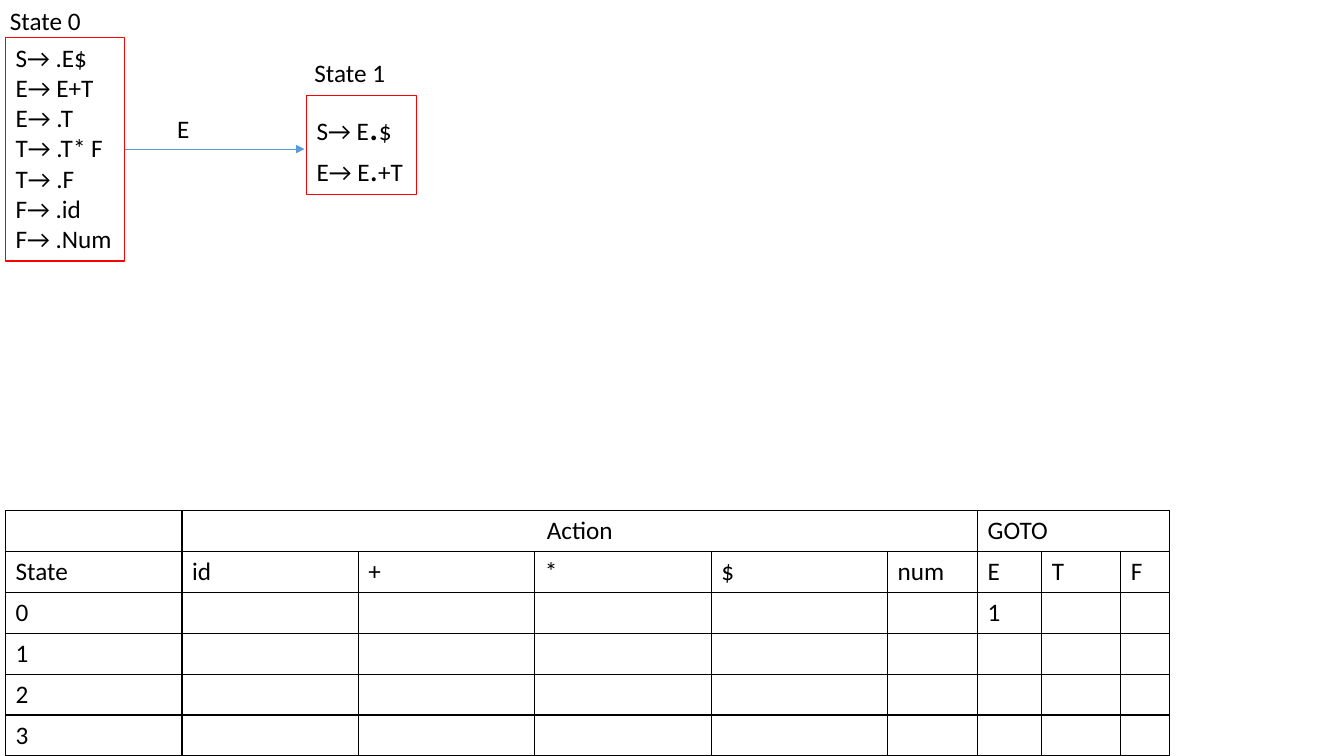
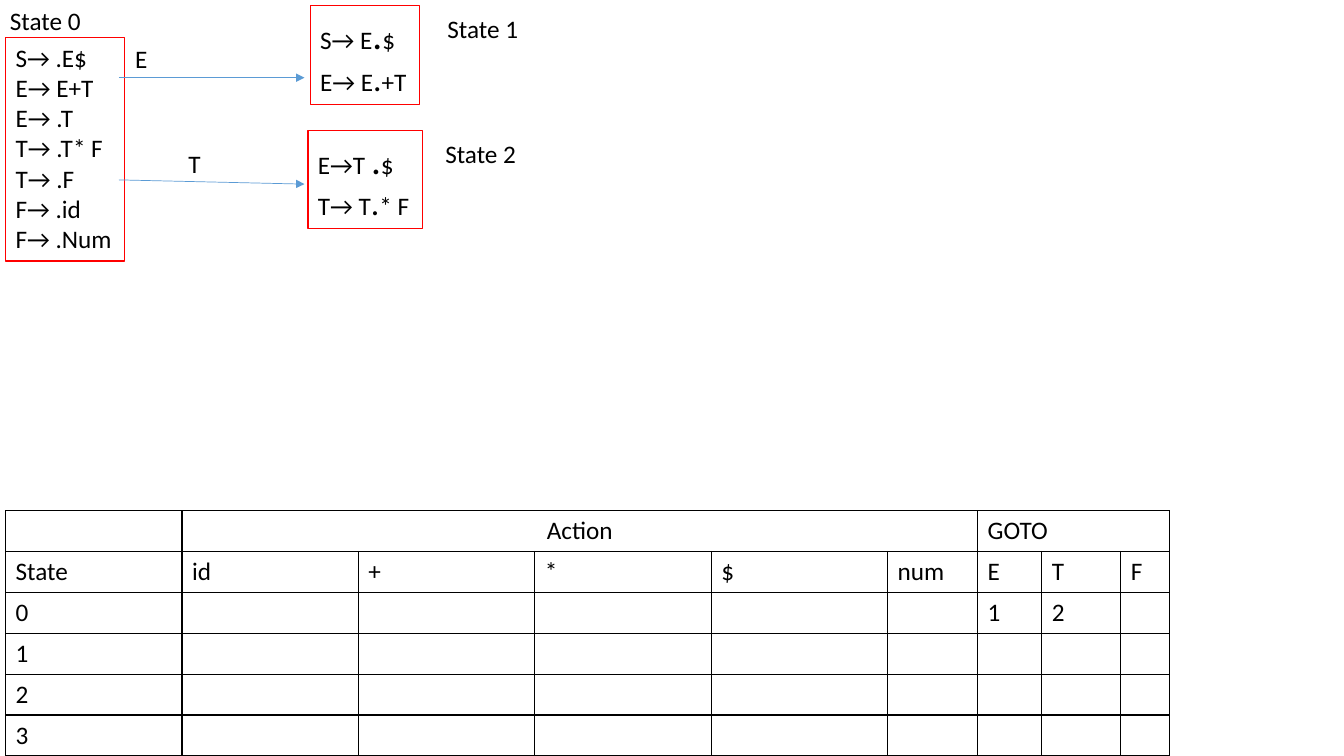
from lxml.etree import SubElement
from pptx import Presentation
from pptx.dml.color import RGBColor
from pptx.enum.shapes import MSO_CONNECTOR as CONNECTOR, MSO_SHAPE as SHAPE
from pptx.enum.text import MSO_ANCHOR as ANCHOR, PP_ALIGN as ALIGN
from pptx.oxml.ns import qn
from pptx.util import Pt

FONT, SIZE = "Calibri", 18
BLACK, WHITE, RED, BLUE = "000000", "FFFFFF", "FF0000", "5B9BD5"
DOT_SIZES = (28, 24)  # size of the marker dot in each line of a target state

# Content: the start state, then the states and arrows of each slide
START_ITEMS = ["S→ .E$", "E→ E+T", "E→ .T", "T→ .T* F", "T→ .F", "F→ .id", "F→ .Num"]
START_BOX = (4, 26.5, 85, 160)
STATE_1 = [("S→ E", ".", "$"), ("E→ E", ".", "+T")]
STATE_2 = [("E→T ", ".", "$"), ("T→ T", ".", "* F")]

SLIDES = [
    {
        "states": [
            {"name": "State 1", "name_at": (217.5, 37.5), "items": STATE_1,
             "box": (219, 68.5, 78.5, 70.5), "symbol": "E", "symbol_at": (119.5, 77.5),
             "arrow": (89, 106.5, 217.5, 106.5), "joined": True},
        ],
        "goto": ["1", "", ""],
    },
    {
        "states": [
            {"name": "State 1", "name_at": (312.5, 6), "items": STATE_1,
             "box": (221.5, 4, 78.5, 70.5), "symbol": "E", "symbol_at": (89.5, 27.5),
             "arrow": (85, 55.5, 217.5, 55.5), "joined": False},
            {"name": "State 2", "name_at": (311, 95.5), "items": STATE_2,
             "box": (220, 93, 82, 70.5), "symbol": "T", "symbol_at": (127.5, 102.5),
             "arrow": (85, 128.5, 217.5, 131.5), "joined": False},
        ],
        "goto": ["1", "2", ""],
    },
]

# Parse table
SYMBOLS = ["State", "id", "+", "*", "$", "num", "E", "T", "F"]
ACTION_COLS, GOTO_COLS = (1, 5), (6, 8)
STATE_COUNT = 4
COL_WIDTHS = [126] * 5 + [64.3, 45.8, 56.5, 35]
ROW_HEIGHT = 29.2
TABLE_AT = (4, 364.8)


def rgb(color):
    return RGBColor.from_string(color)


def style_run(run, size=SIZE):
    run.font.name, run.font.size = FONT, Pt(size)
    run.font.color.rgb = rgb(BLACK)


def write_lines(frame, lines):
    """Each line is a string, or (before, dot, after) with an enlarged dot."""
    for i, line in enumerate(lines):
        paragraph = frame.paragraphs[0] if i == 0 else frame.add_paragraph()
        paragraph.alignment = ALIGN.LEFT
        if isinstance(line, str):
            paragraph.text = line
            style_run(paragraph.runs[0])
            continue
        for part, size in zip(line, (SIZE, DOT_SIZES[i], SIZE)):
            run = paragraph.add_run()
            run.text = part
            style_run(run, size)


def add_label(slide, text, at, width, wrap):
    frame = slide.shapes.add_textbox(*map(Pt, (*at, width, 29))).text_frame
    frame.word_wrap = wrap
    write_lines(frame, [text])


def add_state(slide, items, box):
    state = slide.shapes.add_shape(SHAPE.RECTANGLE, *map(Pt, box))
    state.shadow.inherit = False
    state.fill.solid()
    state.fill.fore_color.rgb = rgb(WHITE)
    state.line.color.rgb = rgb(RED)
    state.line.width = Pt(0.75)
    state.text_frame.word_wrap = False
    state.text_frame.vertical_anchor = ANCHOR.TOP
    write_lines(state.text_frame, items)
    return state


def add_arrow(slide, ends, source=None):
    arrow = slide.shapes.add_connector(CONNECTOR.STRAIGHT, *map(Pt, ends))
    if source is not None:
        arrow.begin_connect(source, 3)
    arrow.line.color.rgb = rgb(BLUE)
    arrow.line.width = Pt(0.5)
    SubElement(arrow.line._get_or_add_ln(), qn("a:tailEnd"), type="triangle")
    SubElement(arrow._element.spPr, qn("a:effectLst"))


def add_borders(cell):
    properties = cell._tc.get_or_add_tcPr()
    for side in ("a:lnL", "a:lnR", "a:lnT", "a:lnB"):
        border = SubElement(properties, qn(side), w=str(Pt(1)))
        fill = SubElement(border, qn("a:solidFill"))
        SubElement(fill, qn("a:srgbClr"), val=BLACK)


def add_parse_table(slide, goto):
    heads = [""] * len(SYMBOLS)
    heads[ACTION_COLS[0]], heads[GOTO_COLS[0]] = "Action", "GOTO"
    rows = [heads, SYMBOLS]
    rows += [[str(n)] + [""] * (len(SYMBOLS) - 1) for n in range(STATE_COUNT)]
    rows[2][GOTO_COLS[0]:] = goto

    size = (sum(COL_WIDTHS), ROW_HEIGHT * len(rows))
    table = slide.shapes.add_table(len(rows), len(SYMBOLS),
                                   *map(Pt, (*TABLE_AT, *size))).table
    table.first_row = table.horz_banding = False
    for column, width in zip(table.columns, COL_WIDTHS):
        column.width = Pt(width)
    for r, texts in enumerate(rows):
        table.rows[r].height = Pt(ROW_HEIGHT)
        for c, text in enumerate(texts):
            cell = table.cell(r, c)
            add_borders(cell)
            cell.fill.background()
            if text:
                write_lines(cell.text_frame, [text])
    for first, last in (ACTION_COLS, GOTO_COLS):
        table.cell(0, first).merge(table.cell(0, last))
    table.cell(0, ACTION_COLS[0]).text_frame.paragraphs[0].alignment = ALIGN.CENTER


def build_slide(deck, content):
    slide = deck.slides.add_slide(deck.slide_layouts[6])
    start = add_state(slide, START_ITEMS, START_BOX)
    add_label(slide, "State 0", (0, 0), 85, True)
    add_parse_table(slide, content["goto"])
    for state in content["states"]:
        add_arrow(slide, state["arrow"], start if state["joined"] else None)
        add_label(slide, state["symbol"], state["symbol_at"], 23, False)
        add_state(slide, state["items"], state["box"])
        add_label(slide, state["name"], state["name_at"], 85, True)


def main():
    deck = Presentation()
    deck.slide_width, deck.slide_height = Pt(960), Pt(540)
    for content in SLIDES:
        build_slide(deck, content)
    deck.save("out.pptx")


if __name__ == "__main__":
    main()
